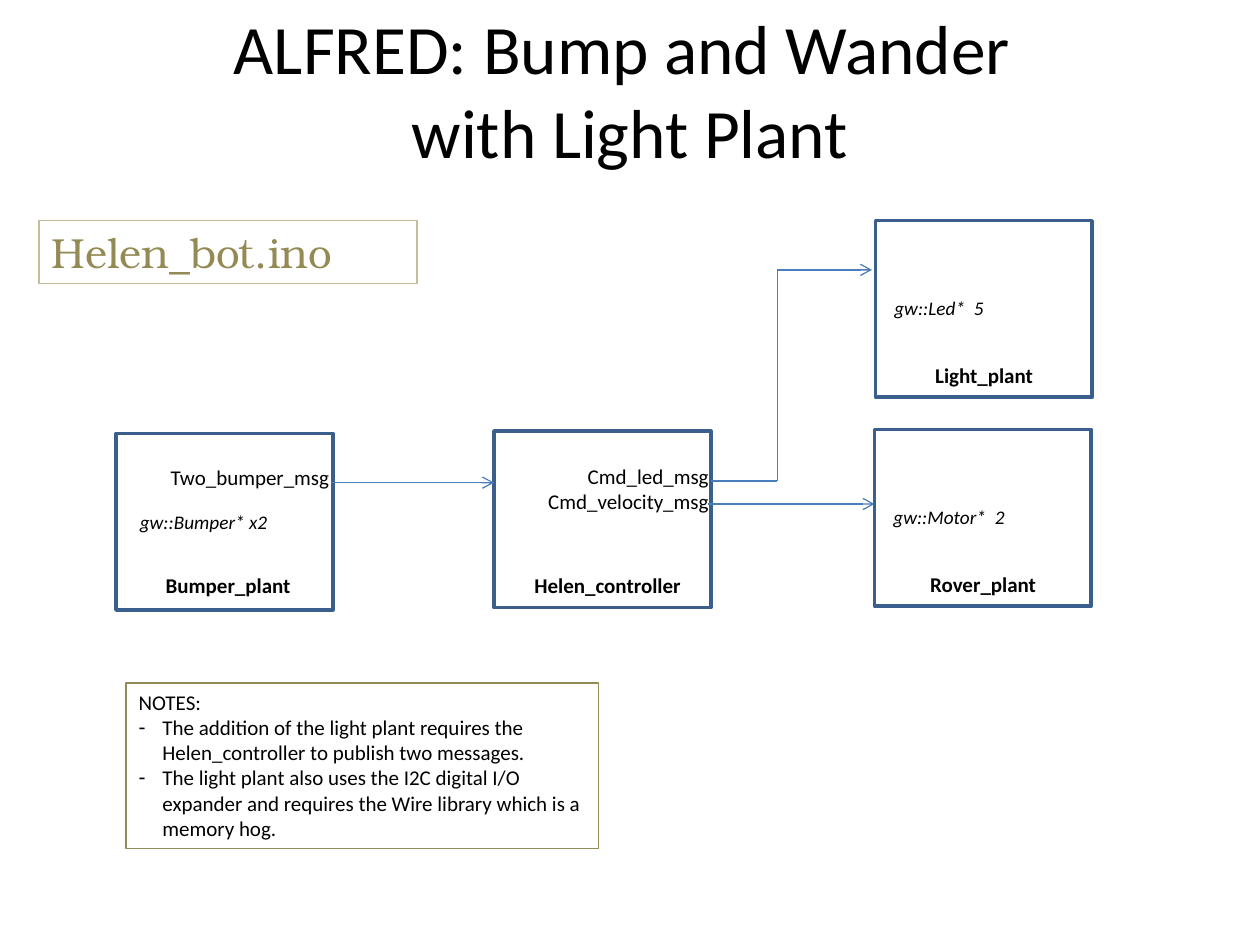
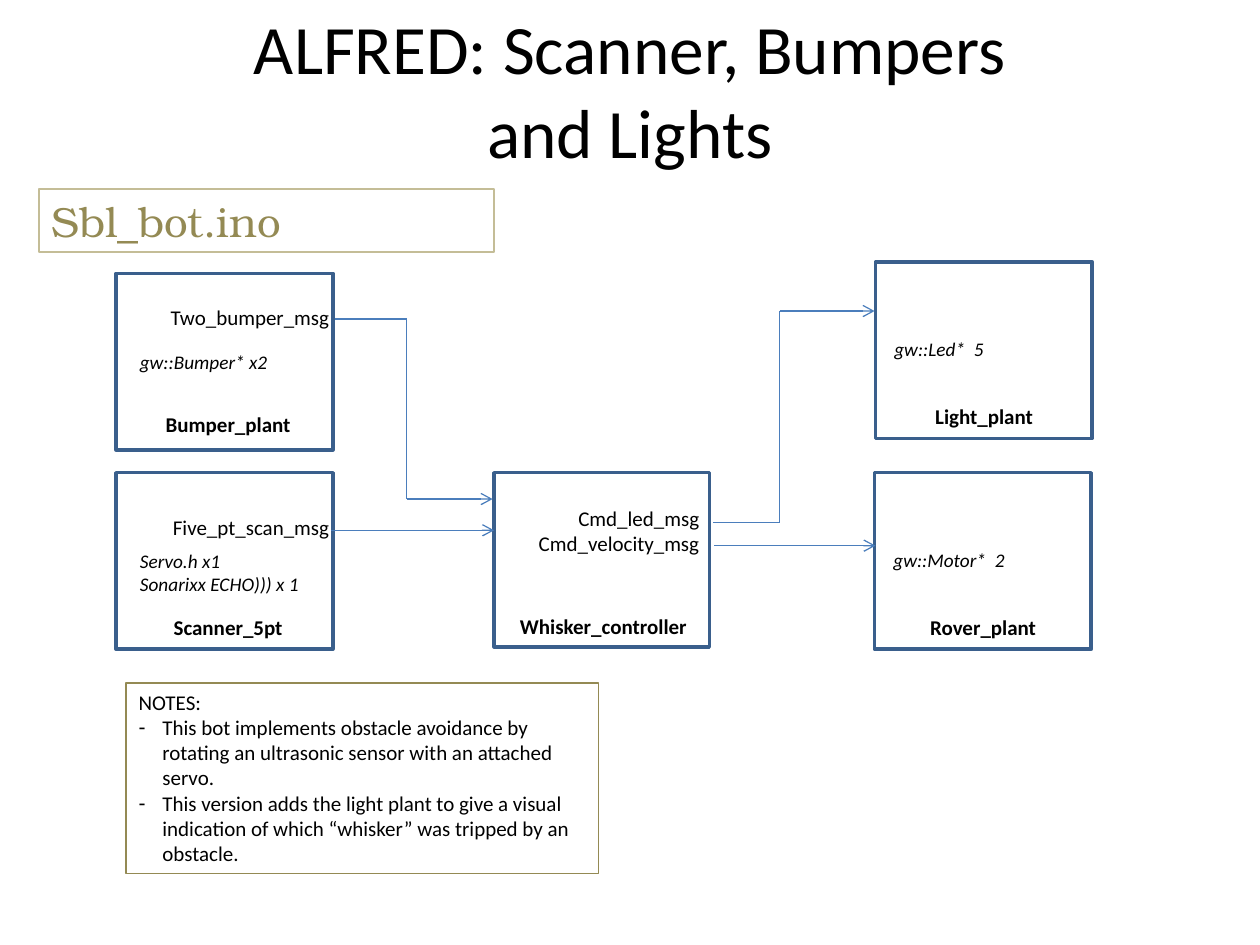
"""Build two slides of robot block diagrams."""
from dataclasses import dataclass
from itertools import pairwise
from typing import Any

from lxml.etree import SubElement
from pptx import Presentation
from pptx.dml.color import RGBColor
from pptx.enum.shapes import MSO_CONNECTOR, MSO_SHAPE
from pptx.enum.text import MSO_ANCHOR, MSO_AUTO_SIZE, PP_ALIGN
from pptx.oxml.ns import qn
from pptx.util import Cm, Length, Pt

RECT = MSO_SHAPE.RECTANGLE
STRAIGHT = MSO_CONNECTOR.STRAIGHT
TOP, MIDDLE = MSO_ANCHOR.TOP, MSO_ANCHOR.MIDDLE
FIXED = MSO_AUTO_SIZE.NONE
LEFT, CENTER, RIGHT = PP_ALIGN.LEFT, PP_ALIGN.CENTER, PP_ALIGN.RIGHT


@dataclass(frozen=True)
class Theme:
    """Colours, fonts, type sizes and line widths."""
    ink: RGBColor = RGBColor(0, 0, 0)
    frame: RGBColor = RGBColor(0x3A, 0x5F, 0x8C)
    wire: RGBColor = RGBColor(0x4B, 0x7E, 0xBC)
    olive: RGBColor = RGBColor(0x94, 0x8A, 0x54)
    sand: RGBColor = RGBColor(0xC4, 0xBD, 0x97)
    sans: str = "Calibri"
    serif: str = "TeX Gyre Bonum"
    title: Length = Pt(39.6)
    sketch: Length = Pt(24)
    body: Length = Pt(12)
    small: Length = Pt(11)
    thin: Length = Pt(0.75)
    thick: Length = Pt(2)


THEME = Theme()


@dataclass(frozen=True)
class Style:
    """Look of a piece of text."""
    size: Length
    align: PP_ALIGN = LEFT
    color: RGBColor = THEME.ink
    name: str = THEME.sans
    bold: bool = False
    italic: bool = False


HEAD = Style(THEME.title, CENTER)
SKETCH = Style(THEME.sketch, color=THEME.olive, name=THEME.serif)
NOTE = Style(THEME.body)
LABEL = Style(THEME.body, CENTER, bold=True)
PORT = Style(THEME.body, RIGHT)
PIN = Style(THEME.small, italic=True)


@dataclass(frozen=True)
class Text:
    """Text inside a block, placed in cm from its corner."""
    lines: tuple[str, ...]
    style: Style
    left: float
    top: float
    width: float


@dataclass(frozen=True)
class Block:
    """Framed module, in cm; its label lies behind the frame."""
    left: float
    top: float
    label: Text
    texts: tuple[Text, ...]
    width: float = 4.37
    height: float = 3.56


Wire = tuple[tuple[float, float], ...]


@dataclass(frozen=True)
class Page:
    """Content of one slide."""
    title: str
    sketch: str
    top: float
    width: float
    blocks: tuple[Block, ...]
    wires: tuple[Wire, ...]
    notes: tuple[str, ...]
    height: float


def apply(item: Any, values: dict[str, Any]) -> None:
    """Set each named value on an item."""
    for name, value in values.items():
        setattr(item, name, value)


def place(left: float, top: float, width: float, height: float) -> dict[str, Length]:
    """Turn a frame in cm into named lengths."""
    return {"left": Cm(left), "top": Cm(top), "width": Cm(width), "height": Cm(height)}


def write(frame: Any, lines: tuple[str, ...], style: Style, anchor: MSO_ANCHOR = TOP) -> None:
    """Fill a text frame with styled lines."""
    apply(frame, {"word_wrap": True, "auto_size": FIXED, "vertical_anchor": anchor})
    for index, line in enumerate(lines):
        para = frame.add_paragraph() if index else frame.paragraphs[0]
        apply(para, {"text": line, "alignment": style.align,
                     "space_before": Pt(0), "space_after": Pt(0)})
        for run in para.runs:
            apply(run.font, {"size": style.size, "name": style.name,
                             "bold": style.bold, "italic": style.italic})
            run.font.color.rgb = style.color


def stroke(shape: Any, color: RGBColor, width: Length) -> None:
    """Set the line of a shape."""
    shape.line.color.rgb = color
    shape.line.width = width


def add_frame(shapes: Any, spot: dict[str, Length], color: RGBColor, width: Length) -> Any:
    """Draw an unfilled rectangle."""
    shape = shapes.add_shape(RECT, **spot)
    shape.shadow.inherit = False
    shape.fill.background()
    stroke(shape, color, width)
    return shape


def add_text(shapes: Any, block: Block, text: Text) -> None:
    """Add one text of a block, as high as its lines."""
    height = 0.25 + len(text.lines) * text.style.size.pt * 0.0423
    spot = place(block.left + text.left, block.top + text.top, text.width, height)
    write(shapes.add_textbox(**spot).text_frame, text.lines, text.style)


def add_block(shapes: Any, block: Block) -> None:
    """Draw a module as a group."""
    group = shapes.add_group_shape().shapes
    add_text(group, block, block.label)
    spot = place(block.left, block.top, block.width, block.height)
    add_frame(group, spot, THEME.frame, THEME.thick)
    for text in block.texts:
        add_text(group, block, text)


def add_wire(shapes: Any, wire: Wire) -> None:
    """Draw straight runs between points, with an arrow at the end."""
    if len(wire) > 2:
        shapes = shapes.add_group_shape().shapes
    for start, end in pairwise(wire):
        line = shapes.add_connector(STRAIGHT, *map(Cm, start + end))
        stroke(line, THEME.wire, THEME.thin)
        props = line.element.spPr
        if end == wire[-1]:
            SubElement(props.find(qn("a:ln")), qn("a:tailEnd"), type="arrow")
        SubElement(props, qn("a:effectLst"))


def add_notes(holder: Any, page: Page) -> None:
    """Fill the body with a heading and dashed notes."""
    apply(holder, place(2.54, 13.77, 9.53, page.height))
    stroke(holder, THEME.olive, THEME.thin)
    write(holder.text_frame, ("NOTES:", *page.notes), NOTE)
    for index, para in enumerate(holder.text_frame.paragraphs):
        props = para._p.get_or_add_pPr()
        inset = Cm(0.48) if index else 0
        props.set("marL", str(inset))
        props.set("indent", str(-inset))
        if index:
            SubElement(props, qn("a:buFontTx"))
            SubElement(props, qn("a:buChar"), char="-")
        else:
            SubElement(props, qn("a:buNone"))


def add_page(deck: Any, page: Page) -> None:
    """Build one slide."""
    slide = deck.slides.add_slide(deck.slide_layouts[1])
    title, body = slide.placeholders
    apply(title, place(1.27, 0.2, 22.86, 3.18))
    write(title.text_frame, (page.title,), HEAD, MIDDLE)
    add_notes(body, page)
    for block in page.blocks:
        add_block(slide.shapes, block)
    for wire in page.wires:
        add_wire(slide.shapes, wire)
    spot = place(0.79, page.top, page.width, 1.27)
    sketch = add_frame(slide.shapes, spot, THEME.sand, THEME.thin)
    write(sketch.text_frame, (page.sketch,), SKETCH)


def label(text: str, left: float, top: float = 2.74, width: float = 3.56) -> Text:
    """Name a block."""
    return Text((text,), LABEL, left, top, width)


def sensor(top: float, name: str, base: float, port: str, drop: float, *pins: str) -> Block:
    """Make a block of the left column."""
    return Block(2.34, top, label(name, 0.48, base),
                 (Text((port,), PORT, 0.46, drop, 4.09), Text(pins, PIN, 0.23, 1.42, 3.86)))


def bumper(top: float) -> Block:
    """Make the bumper block."""
    return sensor(top, "Bumper_plant", 2.67, "Two_bumper_msg", 0.51, "gw::Bumper* x2")


def output(left: float, top: float, name: str, pin: str) -> Block:
    """Make a block of the right column."""
    return Block(left, top, label(name, 0.41), (Text((pin,), PIN, 0.13, 1.4, 3.86),))


def rover(top: float) -> Block:
    """Make the rover block."""
    return output(17.63, top, "Rover_plant", "gw::Motor*  2")


def light(top: float) -> Block:
    """Make the light block."""
    return output(17.65, top, "Light_plant", "gw::Led*  5")


def elbow(left: float, start: float, turn: float, right: float, end: float) -> Wire:
    """Route a wire with one upright run."""
    return (left, start), (turn, start), (turn, end), (right, end)


PORTS = ("Cmd_led_msg", "Cmd_velocity_msg")

PAGES = (
    Page("ALFRED: Bump and Wander \vwith Light Plant", "Helen_bot.ino", 4.45, 7.62,
         (Block(9.96, 8.69, label("Helen_controller", 0.51, 2.72),
                (Text(PORTS, PORT, 0.64, 0.53, 3.94),)),
          bumper(8.74), rover(8.66), light(4.45)),
         (((6.68, 9.73), (9.96, 9.73)),
          ((14.27, 10.16), (17.63, 10.16)),
          elbow(14.33, 9.7, 15.67, 17.58, 5.44)),
         ("The addition of the light plant requires the Helen_controller "
          "to publish two messages.",
          "The light plant also uses the I2C digital I/O expander and requires "
          "the Wire library which is a memory hog."), 3.33),
    Page("ALFRED: Scanner, Bumpers\vand Lights", "Sbl_bot.ino", 3.81, 9.17,
         (sensor(9.53, "Scanner_5pt", 2.74, "Five_pt_scan_msg", 0.71,
                 "Servo.h x1", "Sonarixx ECHO))) x 1"),
          rover(9.53),
          Block(9.96, 9.53, label("Whisker_controller", 0.15, 2.72, 4.11),
                (Text(PORTS, PORT, 0.48, 0.53, 3.91),), 4.34, 3.51),
          light(5.28), bumper(5.51)),
         (((6.68, 10.69), (9.96, 10.69)),
          ((14.4, 11), (17.65, 11)),
          elbow(14.38, 10.54, 15.72, 17.63, 6.27),
          elbow(6.76, 6.43, 8.2, 9.93, 10.06)),
         ("This bot implements obstacle avoidance by rotating an ultrasonic "
          "sensor with an attached servo.",
          "This version adds the light plant to give a visual indication of "
          "which “whisker” was tripped by an obstacle."), 3.84),
)


def main() -> None:
    """Build and save the deck."""
    deck = Presentation()
    apply(deck, {"slide_width": Cm(25.4), "slide_height": Cm(19.05)})
    for page in PAGES:
        add_page(deck, page)
    deck.save("out.pptx")


main()
